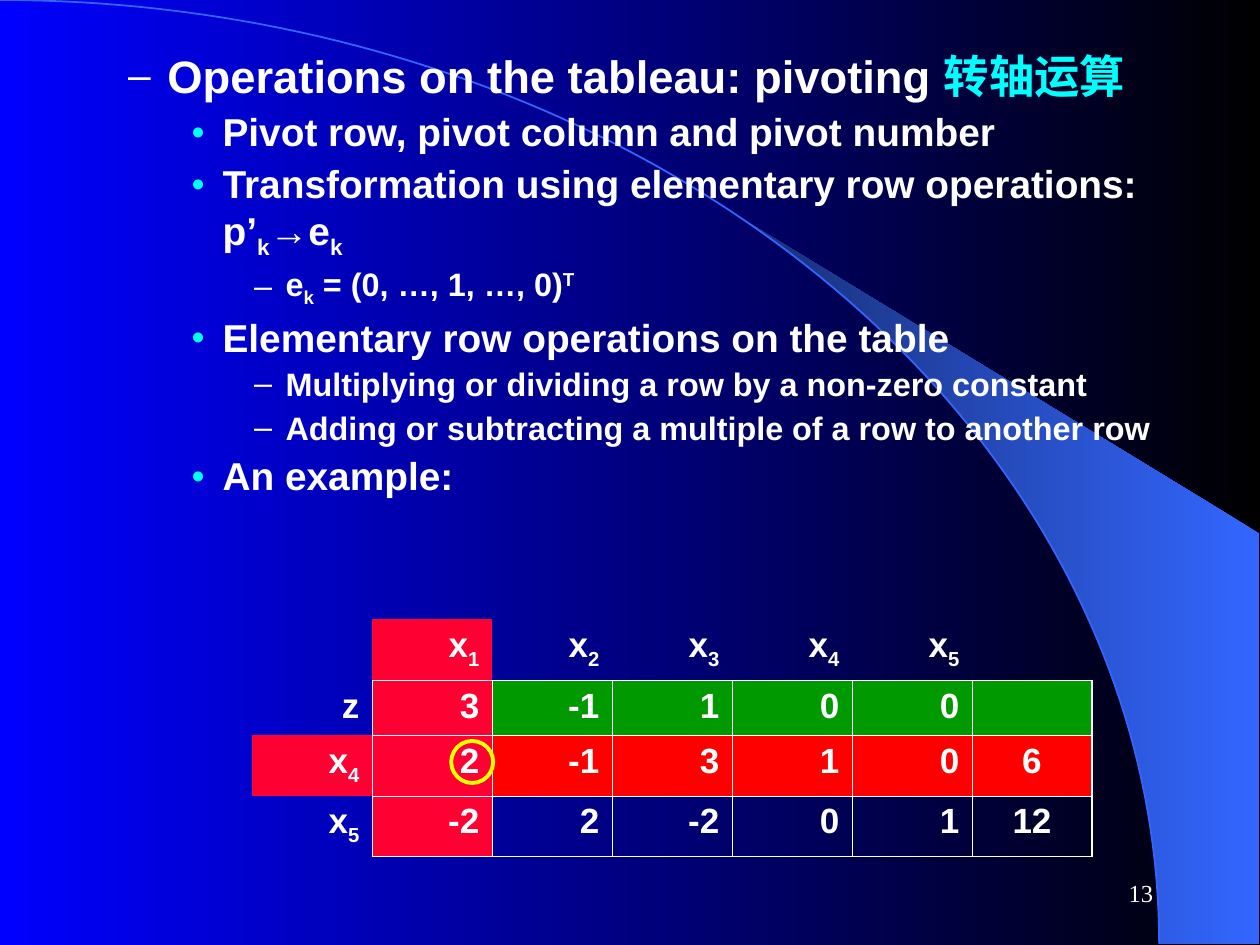
import math
from dataclasses import dataclass

import lxml.etree
import pptx
import pptx.dml.color
import pptx.enum.shapes
import pptx.enum.text
import pptx.oxml.ns
import pptx.util

Pt = pptx.util.Pt
qn = pptx.oxml.ns.qn
ALIGN = pptx.enum.text.PP_ALIGN
COLORS = {
    "white": "FFFFFF", "cyan": "00FFFF", "black": "000000", "blue": "0000FF",
    "arc": "3366FF", "arc_dark": "172F75", "pivot": "FF0033", "red": "FF0000",
    "green": "009900", "yellow": "FFFF00",
}
NO_GRID_STYLE = "{2D5ABB26-0587-4C30-8999-92F81FD0307C}"
ARC_WIDTH, ARC_HEIGHT = 662.4, 539.3
SUB, SUPER = -25000, 30000


@dataclass
class Span:
    text: str
    baseline: int = 0
    color: str = "white"


@dataclass
class Level:
    size: float
    margin: float
    indent: float
    before: float
    bullet: str
    bullet_color: str
    bullet_percent: int


@dataclass
class Item:
    level: int
    spans: list[Span]


LEVELS = {
    1: Level(25.9, 58.5, -22.5, 3.5, "–", "white", 90),
    2: Level(22.2, 90, -18, 3, "●", "cyan", 60),
    3: Level(18.5, 126, -18, 2.5, "–", "white", 100),
}
ITEMS = [
    Item(1, [Span("Operations on the tableau: pivoting "), Span("转轴运算", color="cyan")]),
    Item(2, [Span("Pivot row, pivot column and pivot number")]),
    Item(2, [Span("Transformation using elementary row operations: p’"), Span("k", SUB),
             Span("→e"), Span("k", SUB)]),
    Item(3, [Span("e"), Span("k", SUB), Span(" = (0, …, 1, …, 0)"), Span("T", SUPER)]),
    Item(2, [Span("Elementary row operations on the table")]),
    Item(3, [Span("Multiplying or dividing a row by a non-zero constant")]),
    Item(3, [Span("Adding or subtracting a multiple of a row to another row")]),
    Item(2, [Span("An example:")]),
]
TABLEAU = [
    ["", "x1", "x2", "x3", "x4", "x5", ""],
    ["z", "3", "-1", "1", "0", "0", ""],
    ["x4", "2", "-1", "3", "1", "0", "6"],
    ["x5", "-2", "2", "-2", "0", "1", "12"],
]
ROW_HEIGHTS = [34.6, 31.7, 34.6, 34.6]


def rgb(name: str) -> pptx.dml.color.RGBColor:
    return pptx.dml.color.RGBColor.from_string(COLORS[name])


def set_gradient(fill, first: str, last: str) -> None:
    fill.gradient()
    fill.gradient_angle = 180
    for stop, name, position in zip(fill.gradient_stops, (first, last), (0, 1)):
        stop.color.rgb = rgb(name)
        stop.position = position


def write_spans(para, spans: list[Span], size: float, face: str = "Arial", bold: bool = True) -> None:
    for span in spans:
        run = para.add_run()
        run.text = span.text
        run.font.size, run.font.name, run.font.bold = Pt(size), face, bold
        run.font.color.rgb = rgb(span.color)
        if span.baseline:
            run._r.get_or_add_rPr().set("baseline", str(span.baseline))


def set_bullet(para, level: Level) -> None:
    props = para._p.get_or_add_pPr()
    props.set("marL", str(Pt(level.margin)))
    props.set("indent", str(Pt(level.indent)))
    color = lxml.etree.SubElement(props, qn("a:buClr"))
    lxml.etree.SubElement(color, qn("a:srgbClr"), val=COLORS[level.bullet_color])
    lxml.etree.SubElement(props, qn("a:buSzPct"), val=str(level.bullet_percent * 1000))
    lxml.etree.SubElement(props, qn("a:buFont"), typeface="Arial")
    lxml.etree.SubElement(props, qn("a:buChar"), char=level.bullet)


def arc_points(start: float, end: float, steps: int) -> list[tuple[int, int]]:
    angles = [math.radians(start + (end - start) * step / steps) for step in range(steps + 1)]
    return [(Pt(ARC_WIDTH * math.cos(angle)), Pt(ARC_HEIGHT * (1 - math.sin(angle))))
            for angle in angles]


def add_outline(page, points: list[tuple[int, int]], close: bool):
    builder = page.shapes.build_freeform(*points[0], scale=1.0)
    builder.add_line_segments(points[1:], close=close)
    shape = builder.convert_to_shape()
    shape.shadow.inherit = False
    return shape


def draw_backdrop(page, body) -> None:
    set_gradient(page.background.fill, "black", "blue")
    corners = [(Pt(719.3), Pt(ARC_HEIGHT)), (Pt(719.3), Pt(304.6))]
    beam = add_outline(page, arc_points(50.2, 0, 30) + corners, True)
    set_gradient(beam.fill, "arc", "arc_dark")
    beam.line.fill.background()
    arc = add_outline(page, arc_points(90, 0, 90), False)
    arc.fill.background()
    arc.line.color.rgb = rgb("arc")
    arc.line.width = Pt(1)
    for shape in (beam, arc):
        body._element.addprevious(shape._element)


def fill_body(body) -> None:
    body.left, body.top, body.width, body.height = Pt(30), Pt(24), Pt(666), Pt(300)
    frame = body.text_frame
    frame.auto_size = pptx.enum.text.MSO_AUTO_SIZE.NONE
    for index, item in enumerate(ITEMS):
        para = frame.add_paragraph() if index else frame.paragraphs[0]
        level = LEVELS[item.level]
        para.level = item.level
        para.space_before = Pt(level.before)
        set_bullet(para, level)
        write_spans(para, item.spans, level.size)


def cell_color(row: int, column: int) -> str | None:
    if column == 1 or (row, column) == (2, 0):
        return "pivot"
    return {1: "green", 2: "red"}.get(row) if column else None


def cell_edges(row: int, column: int) -> dict[str, float]:
    if row and column:
        return {"L": 0.45, "R": 1.08 if column == 6 else 0.45,
                "T": 0.45, "B": 1.08 if row == 3 else 0.45}
    if row:
        return {"R": 0.45}
    return {"B": 0.45} if column else {}


def set_edges(cell, edges: dict[str, float]) -> None:
    props = cell._tc.get_or_add_tcPr()
    for position, (side, width) in enumerate(edges.items()):
        line = lxml.etree.Element(qn(f"a:ln{side}"), w=str(Pt(width)))
        solid = lxml.etree.SubElement(line, qn("a:solidFill"))
        lxml.etree.SubElement(solid, qn("a:srgbClr"), val=COLORS["white"])
        props.insert(position, line)


def draw_tableau(page) -> None:
    holder = page.shapes.add_table(4, 7, Pt(144), Pt(354), Pt(480), Pt(sum(ROW_HEIGHTS)))
    table = holder.table
    table.first_row = table.horz_banding = False
    table._tbl.tblPr.find(qn("a:tableStyleId")).text = NO_GRID_STYLE
    for column in table.columns:
        column.width = Pt(480 / 7)
    for row, values in enumerate(TABLEAU):
        table.rows[row].height = Pt(ROW_HEIGHTS[row])
        for column, value in enumerate(values):
            cell = table.cell(row, column)
            color = cell_color(row, column)
            if color:
                cell.fill.solid()
                cell.fill.fore_color.rgb = rgb(color)
            else:
                cell.fill.background()
            set_edges(cell, cell_edges(row, column))
            para = cell.text_frame.paragraphs[0]
            para.alignment = ALIGN.CENTER if column == 6 else ALIGN.RIGHT
            para.space_before = Pt(5)
            if value:
                spans = [Span("x"), Span(value[1:], SUB)] if value[0] == "x" else [Span(value)]
                write_spans(para, spans, 20)


def draw_pivot_ring(page) -> None:
    ring = page.shapes.add_shape(pptx.enum.shapes.MSO_SHAPE.OVAL, Pt(257.8), Pt(423.4), Pt(24), Pt(24))
    ring.shadow.inherit = False
    ring.fill.background()
    ring.line.color.rgb = rgb("yellow")
    ring.line.width = Pt(2.24)


def draw_page_number(page) -> None:
    box = page.shapes.add_textbox(Pt(516), Pt(492), Pt(150), Pt(36))
    box.text_frame.word_wrap = True
    box.text_frame.vertical_anchor = pptx.enum.text.MSO_ANCHOR.MIDDLE
    para = box.text_frame.paragraphs[0]
    para.alignment = ALIGN.RIGHT
    write_spans(para, [Span("13")], 14, "Times New Roman", False)


deck = pptx.Presentation()
deck.slide_width, deck.slide_height = Pt(720), Pt(540)
page = deck.slides.add_slide(deck.slide_layouts[1])
title = page.shapes.title._element
title.getparent().remove(title)
body = page.placeholders[1]
draw_backdrop(page, body)
fill_body(body)
draw_tableau(page)
draw_pivot_ring(page)
draw_page_number(page)
deck.save("out.pptx")
